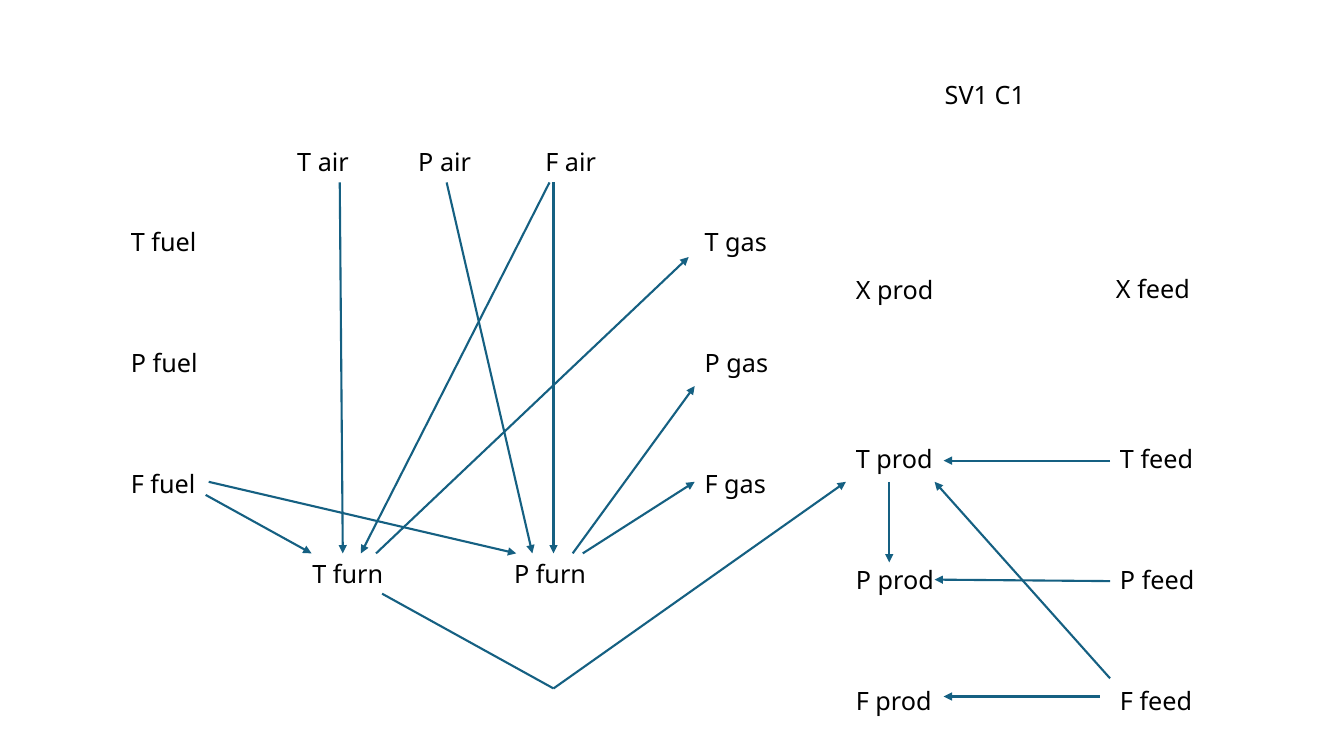
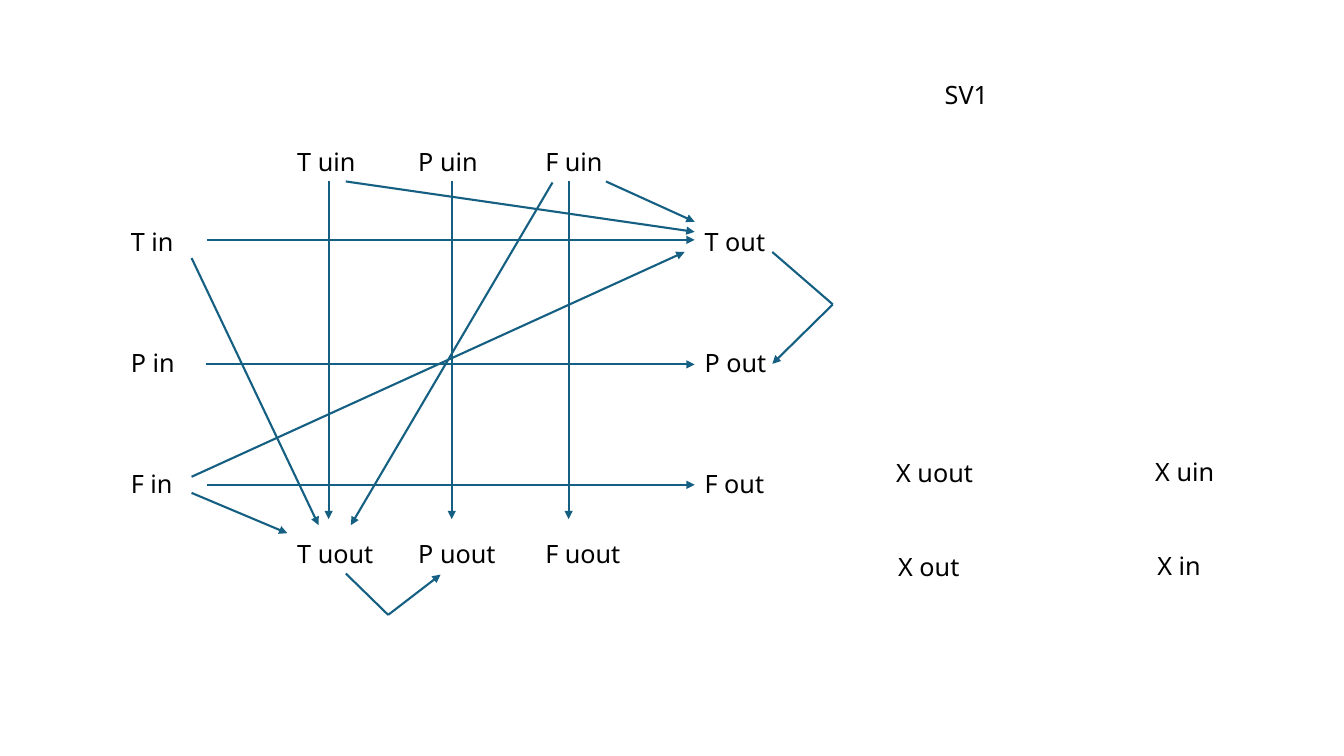
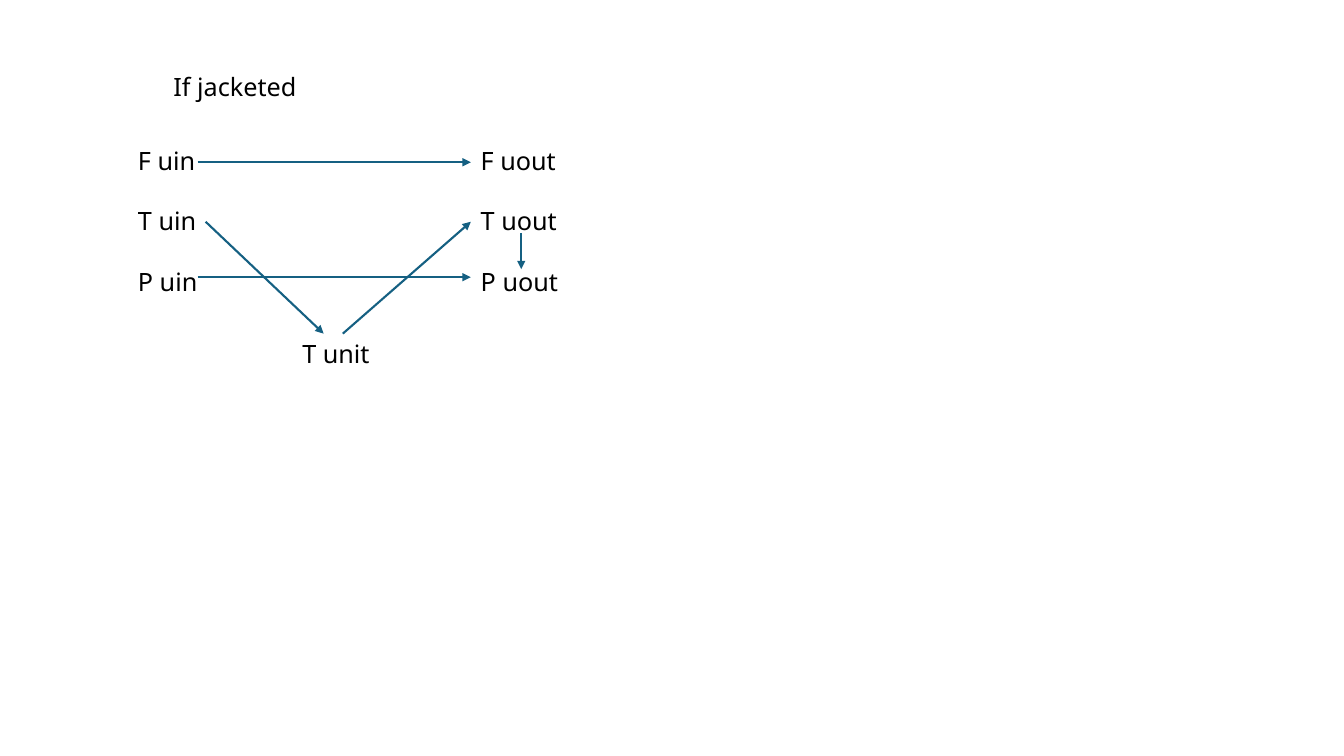
from dataclasses import dataclass

from lxml.etree import SubElement
from pptx import Presentation
from pptx.dml.color import RGBColor
from pptx.enum.shapes import MSO_CONNECTOR
from pptx.enum.text import MSO_ANCHOR, MSO_AUTO_SIZE, PP_ALIGN
from pptx.oxml.ns import qn
from pptx.util import Inches, Pt


# Shared look
@dataclass(frozen=True)
class Theme:
    font: str = "Noto Sans"
    size: float = 18
    lead: float = 21.6
    ink: str = "000000"
    edge: str = "156082"
    width: float = 1.5


THEME = Theme()
FRAME = {"word_wrap": True, "auto_size": MSO_AUTO_SIZE.SHAPE_TO_FIT_TEXT,
         "vertical_anchor": MSO_ANCHOR.TOP, "margin_left": Inches(0.1),
         "margin_right": Inches(0.1), "margin_top": Inches(0.05),
         "margin_bottom": Inches(0.05)}
FONT = {"name": THEME.font, "size": Pt(THEME.size), "bold": False}
PARA = {"alignment": PP_ALIGN.LEFT, "line_spacing": Pt(THEME.lead),
        "space_before": Pt(0), "space_after": Pt(0)}
NEAR = Inches(0.02)


# What a slide holds
@dataclass(frozen=True)
class Label:
    """Lines of text; gap is the pitch of lines, tabs the stops within one."""
    x: float
    y: float
    w: float
    h: float
    lines: tuple[str, ...]
    gap: float = 0
    tabs: tuple[float, ...] = ()


@dataclass(frozen=True)
class Link:
    x1: float
    y1: float
    x2: float
    y2: float
    head: bool = True


@dataclass(frozen=True)
class Page:
    title: Label
    labels: tuple[Label, ...]
    links: tuple[Link, ...]


def word(x: float, y: float, text: str, w: float = 0.97) -> Label:
    return Label(x, y, w, 0.4, (text,))


def row(x: float, y: float, tabs: tuple[float, ...], *names: str) -> Label:
    return Label(x, y, 3.57, 0.4, ("\t".join(names),), tabs=tabs)


def stack(x: float, y: float, w: float, end: str) -> Label:
    """Temperature, pressure and flow of one stream, top to bottom."""
    return Label(x, y, w, 2.83, tuple(f"{v} {end}" for v in "TPF"), gap=1.2)


def short(x: float, end: str) -> Label:
    return Label(x, 1.39, 1.53, 1.62, tuple(f"{v} {end}" for v in "FTP"), gap=0.6)


def apply(item, values: dict) -> None:
    for key, value in values.items():
        setattr(item, key, value)


# Drawing
def write(box, label: Label) -> None:
    apply(box, {"left": Inches(label.x), "top": Inches(label.y),
                "width": Inches(label.w), "height": Inches(label.h)})
    frame = box.text_frame
    apply(frame, FRAME)
    for i, line in enumerate(label.lines):
        para = frame.add_paragraph() if i else frame.paragraphs[0]
        apply(para, PARA)
        if i:
            para.space_before = Inches(label.gap) - Pt(THEME.lead)
        if label.tabs:
            stops = SubElement(para._p.get_or_add_pPr(), qn("a:tabLst"))
            for stop in label.tabs:
                SubElement(stops, qn("a:tab"), pos=str(Inches(stop)), algn="l")
        run = para.add_run()
        run.text = line
        apply(run.font, FONT)
        run.font.color.rgb = RGBColor.from_string(THEME.ink)


def site(boxes: list, x: int, y: int) -> tuple | None:
    """The box and side whose middle lies at the point, if any."""
    for box in boxes:
        mid_x, mid_y = box.left + box.width // 2, box.top + box.height // 2
        sides = ((mid_x, box.top), (box.left, mid_y),
                 (mid_x, box.top + box.height), (box.left + box.width, mid_y))
        for side, (sx, sy) in enumerate(sides):
            if abs(sx - x) <= NEAR and abs(sy - y) <= NEAR:
                return box, side
    return None


def draw(slide, link: Link, boxes: list) -> None:
    x1, y1, x2, y2 = map(Inches, (link.x1, link.y1, link.x2, link.y2))
    line = slide.shapes.add_connector(MSO_CONNECTOR.STRAIGHT, x1, y1, x2, y2)
    for join, spot in ((line.begin_connect, site(boxes, x1, y1)),
                       (line.end_connect, site(boxes, x2, y2))):
        if spot:
            join(*spot)
    line.line.color.rgb = RGBColor.from_string(THEME.edge)
    line.line.width = Pt(THEME.width)
    if link.head:
        SubElement(line.line._get_or_add_ln(), qn("a:tailEnd"), type="triangle")
    SubElement(line._element.spPr, qn("a:effectLst"))


def build(deck, page: Page) -> None:
    slide = deck.slides.add_slide(deck.slide_layouts[5])
    write(slide.shapes.title, page.title)
    boxes = []
    for label in page.labels:
        box = slide.shapes.add_textbox(0, 0, 0, 0)
        write(box, label)
        boxes.append(box)
    for link in page.links:
        draw(slide, link, boxes)


THIRDS = (1.2, 2.46)

# Furnace with product and feed
FURNACE = Page(
    word(9.27, 0.74, "SV1 C1", 1.89),
    (stack(1.2, 2.2, 1.33, "fuel"), stack(6.89, 2.2, 1.33, "gas"),
     stack(8.39, 4.35, 1.33, "prod"), stack(11.01, 4.35, 1.33, "feed"),
     row(2.85, 1.4, THIRDS, "T air", "P air", "F air"),
     row(3, 5.49, (2,), "T furn", "P furn"),
     word(8.39, 2.67, "X prod"), word(10.97, 2.66, "X feed")),
    (Link(2.04, 4.91, 3.09, 5.49), Link(2.07, 4.78, 5.12, 5.49),
     Link(5.45, 1.81, 3.58, 5.49), Link(5.49, 1.81, 5.49, 5.49),
     Link(3.73, 5.49, 6.83, 2.55), Link(5.68, 5.49, 6.89, 3.83),
     Link(4.43, 1.81, 5.28, 5.49), Link(3.37, 1.81, 3.4, 5.49),
     Link(11.01, 4.57, 9.36, 4.57), Link(10.91, 6.91, 9.36, 6.91),
     Link(11.01, 6.73, 9.27, 4.78), Link(11.01, 5.76, 9.27, 5.75),
     Link(3.79, 5.89, 5.49, 6.83, False), Link(5.49, 6.83, 8.39, 4.78),
     Link(8.82, 4.78, 8.82, 5.58), Link(5.78, 5.49, 6.89, 4.78)))

# Exchange between two streams
EXCHANGE = Page(
    word(9.27, 0.74, "SV1", 1.89),
    (stack(1.2, 2.2, 0.84, "in"), stack(6.89, 2.2, 0.95, "out"),
     row(2.85, 1.4, THIRDS, "T uin", "P uin", "F uin"),
     row(2.85, 5.29, THIRDS, "T uout", "P uout", "F uout"),
     word(8.79, 4.49, "X uout"), word(11.36, 4.48, "X uin"),
     word(8.81, 5.42, "X out"), word(11.38, 5.41, "X in")),
    (*(Link(x, 1.8, x, 5.15) for x in (3.26, 4.48, 5.64)),
     *(Link(2.05, y, 6.89, y) for y in (2.38, 3.61, 4.81)),
     Link(1.9, 2.56, 3.16, 5.21), Link(1.9, 4.89, 2.85, 5.29),
     Link(5.48, 1.81, 3.48, 5.21), Link(6.01, 1.8, 6.89, 2.2),
     Link(3.43, 1.8, 6.89, 2.3), Link(1.9, 4.73, 6.79, 2.5),
     Link(3.43, 5.69, 3.85, 6.1, False), Link(3.85, 6.1, 4.37, 5.7),
     Link(7.66, 2.5, 8.26, 3.02, False), Link(8.26, 3.02, 7.66, 3.61)))

# Jacketed unit
JACKET = Page(
    word(1.62, 0.66, "If jacketed", 1.44),
    (short(1.27, "uin"), short(4.67, "uout"), word(2.9, 3.31, "T unit", 1)),
    (*(Link(1.96, y, 4.67, y) for y in (1.61, 2.75)),
     Link(2.04, 2.2, 3.21, 3.31), Link(3.4, 3.31, 4.67, 2.2),
     Link(5.17, 2.31, 5.17, 2.67)))


def main() -> None:
    deck = Presentation()
    deck.slide_width, deck.slide_height = Inches(13.33), Inches(7.5)
    for page in (FURNACE, EXCHANGE, JACKET):
        build(deck, page)
    deck.save("out.pptx")


if __name__ == "__main__":
    main()
